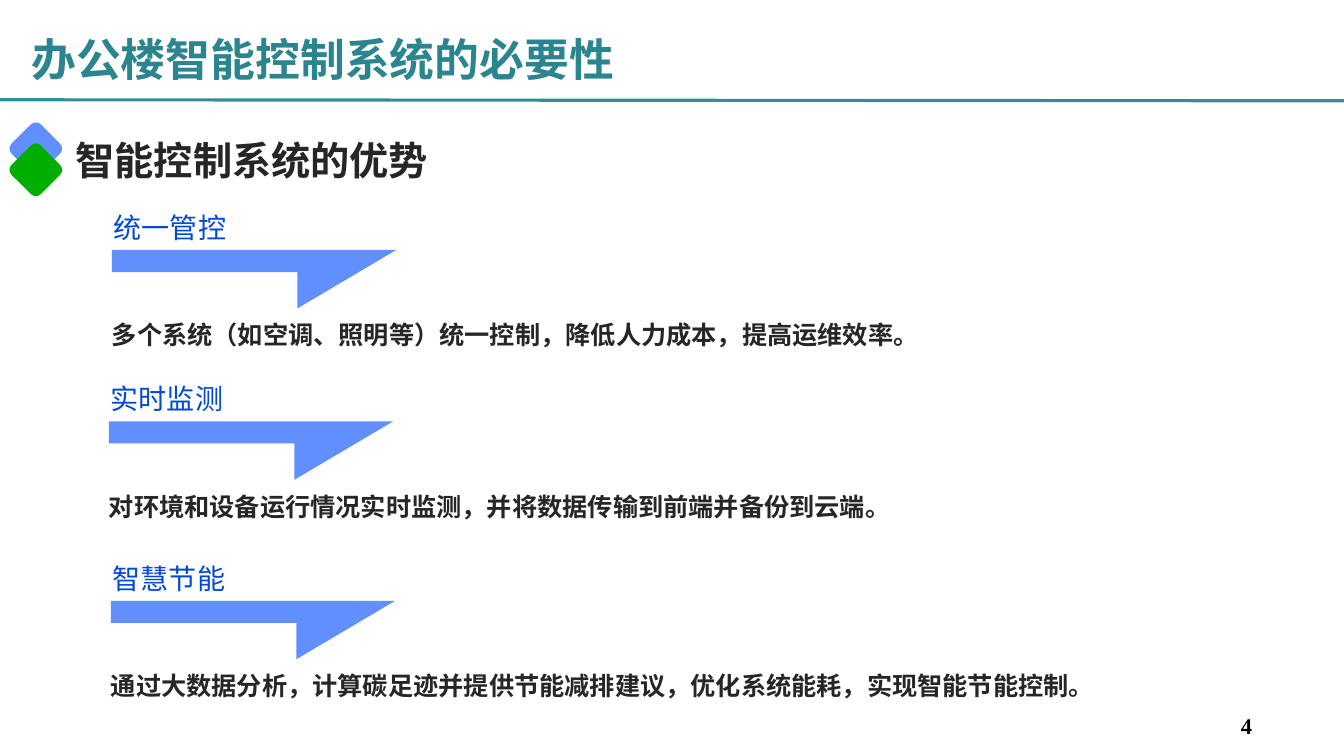
"""Builds the slide on why office buildings need smart control systems."""
from lxml import etree
from pptx import Presentation
from pptx.dml.color import RGBColor
from pptx.enum.shapes import MSO_CONNECTOR, MSO_SHAPE
from pptx.enum.text import MSO_ANCHOR, MSO_AUTO_SIZE, PP_ALIGN
from pptx.oxml.ns import qn
from pptx.util import Pt

PX = 9144
TEAL = RGBColor(0x2A, 0x85, 0x8F)
RULE = RGBColor(0x31, 0x90, 0x95)
BLUE = RGBColor(0x61, 0x8F, 0xFD)
DEEP_BLUE = RGBColor(0x00, 0x48, 0xD8)
GREEN = RGBColor(0x00, 0xAE, 0x00)
INK = RGBColor(0x26, 0x26, 0x26)
BLACK = RGBColor(0, 0, 0)

ADVANTAGES = [
    (111, 248, "统一管控", "多个系统（如空调、照明等）统一控制，降低人力成本，提高运维效率。"),
    (108, 418, "实时监测", "对环境和设备运行情况实时监测，并将数据传输到前端并备份到云端。"),
    (110, 596, "智慧节能", "通过大数据分析，计算碳足迹并提供节能减排建议，优化系统能耗，实现智能节能控制。"),
]
ARROW = [(0, 0), (282, 0), (184, 58), (184, 22), (0, 22)]


class Deck:
    def __init__(self, width, height, font):
        self.prs = Presentation()
        self.prs.slide_width, self.prs.slide_height = width * PX, height * PX
        self.font = font
        self.slide = self.prs.slides.add_slide(self.prs.slide_layouts[5])
        self.shapes = self.slide.shapes

    def group(self):
        self.shapes = self.slide.shapes.add_group_shape().shapes

    def ungroup(self):
        self.shapes = self.slide.shapes

    def set_text(self, sp, text, size, color, bold, anchor, inset=(0, 0), wrap=True, font=None):
        tf = sp.text_frame
        tf.word_wrap = wrap
        tf.auto_size = MSO_AUTO_SIZE.NONE if wrap else MSO_AUTO_SIZE.SHAPE_TO_FIT_TEXT
        tf.vertical_anchor = anchor
        tf.margin_left = tf.margin_right = inset[0] * PX
        tf.margin_top = tf.margin_bottom = inset[1] * PX
        tf.text = text
        p = tf.paragraphs[0]
        p.alignment = PP_ALIGN.LEFT
        r = p.runs[0]
        r.font.name, r.font.size, r.font.bold = font or self.font, Pt(size), bold
        r.font.color.rgb = color

    def title(self, x, y, w, h, text, size, color):
        sp = self.slide.shapes.title
        sp.left, sp.top, sp.width, sp.height = (v * PX for v in (x, y, w, h))
        self.set_text(sp, text, size, color, True, MSO_ANCHOR.MIDDLE, (10, 5))

    def text(self, x, y, w, h, *args, **style):
        sp = self.shapes.add_textbox(x * PX, y * PX, w * PX, h * PX)
        self.set_text(sp, *args, **style)

    def line(self, x1, y1, x2, y2, color, width):
        cxn = self.shapes.add_connector(MSO_CONNECTOR.STRAIGHT, x1 * PX, y1 * PX, x2 * PX, y2 * PX)
        cxn.line.color.rgb, cxn.line.width = color, Pt(width)
        etree.SubElement(cxn._element.spPr, qn("a:effectLst"))

    def fill(self, sp, color):
        sp.shadow.inherit = False
        sp.fill.solid()
        sp.fill.fore_color.rgb = color
        sp.line.fill.background()

    def diamond(self, x, y, side, color):
        sp = self.shapes.add_shape(MSO_SHAPE.ROUNDED_RECTANGLE, x * PX, y * PX, side * PX, side * PX)
        sp.rotation = 45
        self.fill(sp, color)

    def polygon(self, x, y, points, color):
        start, *rest = [(x + dx, y + dy) for dx, dy in points]
        fb = self.shapes.build_freeform(*start, scale=PX)
        fb.add_line_segments(rest, close=True)
        self.fill(fb.convert_to_shape(), color)

    def advantage(self, x, y, heading, body):
        self.group()
        self.polygon(x, y, ARROW, BLUE)
        self.text(x, y + 69, 1048, 110, body, 18, INK, True, MSO_ANCHOR.TOP)
        self.text(x + 2, y - 53, 1047, 47, heading, 20, DEEP_BLUE, False, MSO_ANCHOR.BOTTOM)
        self.ungroup()


def main():
    deck = Deck(1333, 750, "Arial")
    deck.title(21, 17, 1293, 83, "办公楼智能控制系统的必要性", 32, TEAL)
    deck.line(0, 99, 1333, 100, RULE, 2.25)
    deck.text(75, 133, 1167, 51, "智能控制系统的优势", 28, INK, True, MSO_ANCHOR.MIDDLE)
    deck.group()
    for y, color in ((127, BLUE), (148, GREEN)):
        deck.diamond(15, y, 41, color)
    deck.ungroup()
    for item in ADVANTAGES:
        deck.advantage(*item)
    deck.text(1221, 702, 31, 37, "4", 16, BLACK, True, MSO_ANCHOR.TOP,
              inset=(10, 5), wrap=False, font="Times New Roman")
    deck.prs.save("out.pptx")


if __name__ == "__main__":
    main()
